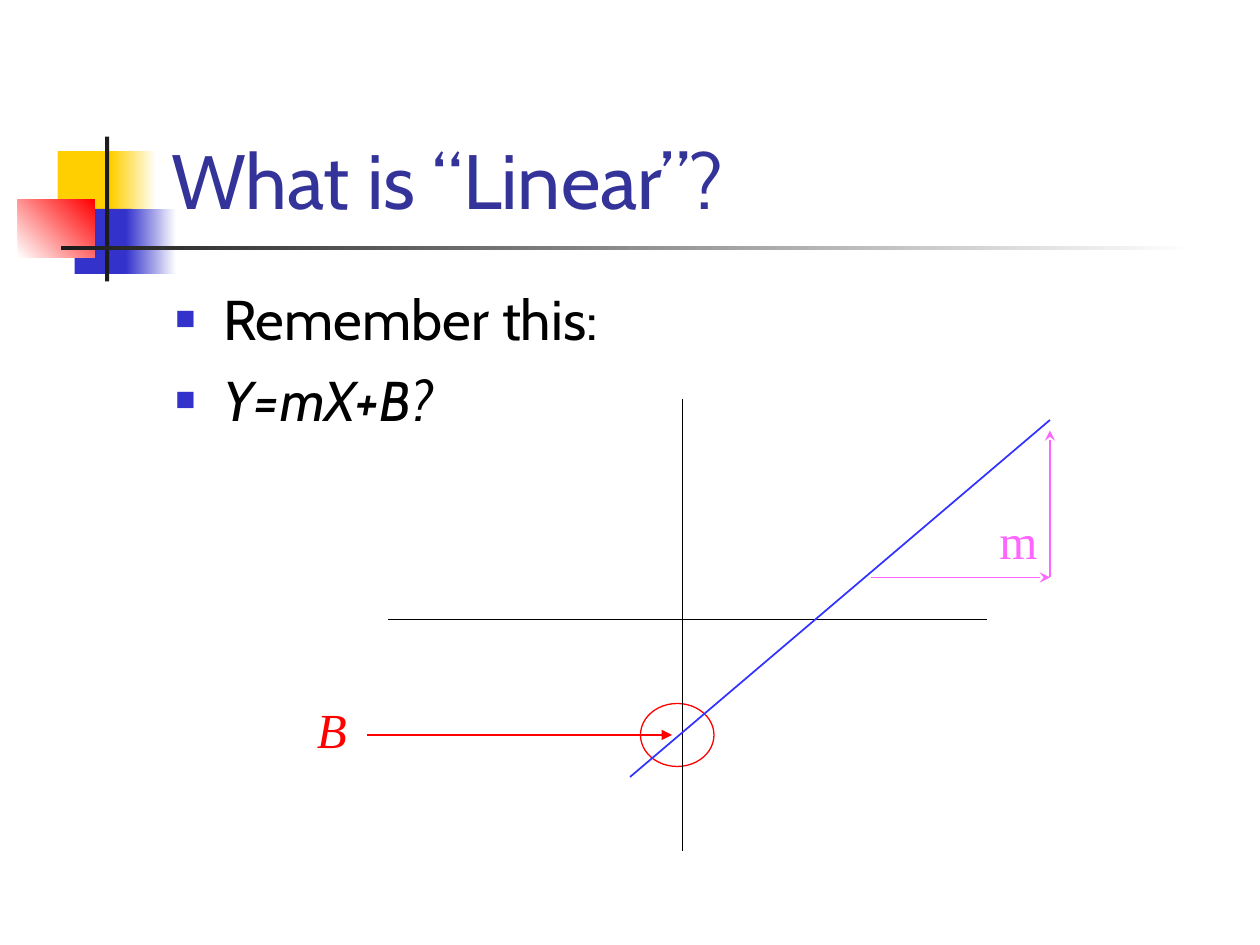
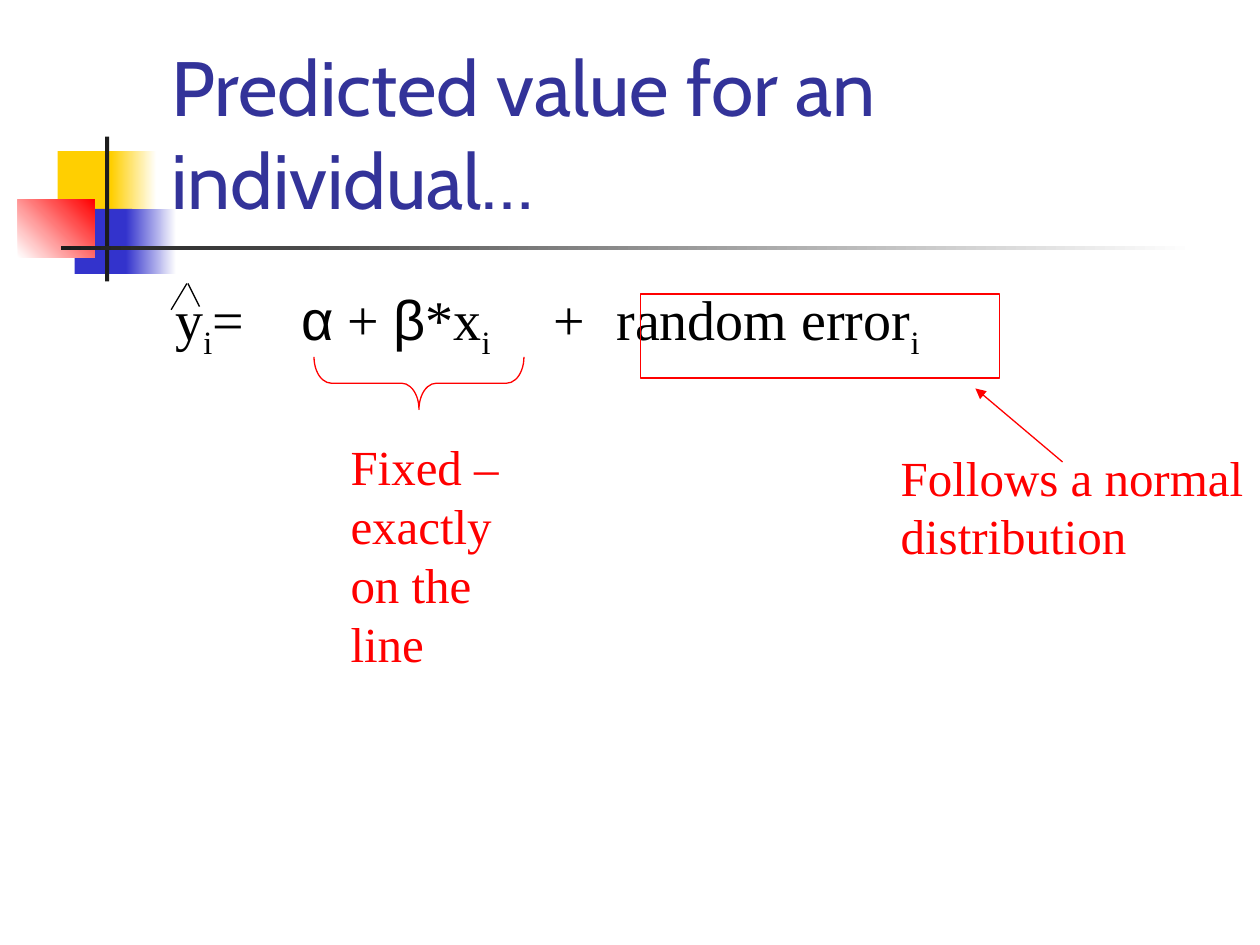
from lxml import etree
from pptx import Presentation
from pptx import util as u
from pptx.dml.color import RGBColor
from pptx.enum import shapes, text
from pptx.oxml import ns

COLUMNS, ROWS = 120, 90
CELL = u.Inches(10) // COLUMNS
COLORS = {"yellow": "FFCF01", "blue": "3333CC", "red": "FF0000", "white": "FFFFFF",
          "dark": "1C1C1C", "title": "333399", "black": "000000",
          "slope": "3333FF", "pink": "FF66FF"}
HEADING, SERIF, GREEK = "Cabin", "Times New Roman", "Arial"

BAND = [
    ((5.5, 14.4, 5.8, 6.2), ["yellow"], 0),
    ((10.6, 14.4, 4.3, 6.2), ["yellow", "white"], 0),
    ((7.1, 19.9, 5.5, 6.2), ["blue"], 0),
    ((12, 19.9, 4.8, 6.2), ["blue", "white"], 0),
    ((1.7, 19, 7.3, 5.5), ["white", "red"], 45),
    ((10, 13, 0.4, 13.8), ["dark"], 0),
    ((5.8, 23.4, 108, 0.4), ["dark", "white"], 0),
]
TITLE_AREA = (15.1, 2.8, 102.2, 19.2)
BODY_AREA = (15.5, 26.5, 102, 54)

BULLETS = [("Remember this:", False), ("Y=mX+B?", True)]
EQUATION = [("y", SERIF, False), ("i", SERIF, True), ("=\t", SERIF, False),
            ("α", GREEK, False), (" + ", SERIF, False), ("β", GREEK, False),
            ("*x", SERIF, False), ("i", SERIF, True),
            ("\t+\trandom error", SERIF, False), ("i", SERIF, True)]
EQUATION_TABS = (1.11, 3.05, 3.63)

SLIDES = [
    {
        "title": "What is “Linear”?",
        "lines": [
            ((65, 38), (65, 81), "black", 0.75, None),
            ((37, 59), (94, 59), "black", 0.75, None),
            ((60, 74), (100, 40), "slope", 1, None),
            ((35, 70), (64, 70), "red", 0.75, "triangle"),
            ((83, 55), (100, 55), "pink", 0.75, "stealth"),
            ((100, 55), (100, 41), "pink", 0.75, "stealth"),
        ],
        "outlines": [("OVAL", (61, 67, 7, 6), 0)],
        "labels": [("B", (29, 66, 9, 6.8), "red", True),
                   ("m", (94, 48, 12, 6.8), "pink", False)],
    },
    {
        "title": "Predicted value for an individual…",
        "lines": [
            ((101.2, 44), (92.9, 37), "red", 0.75, "triangle"),
            ((16.3, 29.5), (17.8, 27), "black", 0.75, None),
            ((17.9, 27), (19, 29.2), "black", 0.75, None),
        ],
        "outlines": [("RECTANGLE", (61, 28, 34.2, 8), 0),
                     ("RIGHT_BRACE", (37.4, 26.5, 5, 20), 90)],
        "labels": [("Follows a normal distribution", (84.6, 42, 35.4, 12.5), "red", False),
                   ("Fixed – exactly on the line", (32.2, 41, 18.8, 23.6), "red", False)],
    },
]


def color(name):
    return RGBColor.from_string(COLORS[name])


def cells(*counts):
    return [u.Emu(round(count * CELL)) for count in counts]


def add_node(parent, tag, **attributes):
    return etree.SubElement(parent, ns.qn(tag), attributes)


def set_font(font, size, name, tint, italic=False):
    font.size, font.name, font.italic = u.Pt(size), name, italic
    font.color.rgb = color(tint)


def place(holder, area):
    holder.left, holder.top, holder.width, holder.height = cells(*area)
    holder.text_frame.auto_size = text.MSO_AUTO_SIZE.NONE
    holder.text_frame.word_wrap = True


def add_band(page, master):
    first = master.shapes[0].element
    for area, tints, angle in BAND:
        block = page.shapes.add_shape(shapes.MSO_SHAPE.RECTANGLE, *cells(*area))
        block.shadow.inherit = False
        block.line.fill.background()
        if len(tints) == 1:
            block.fill.solid()
            block.fill.fore_color.rgb = color(tints[0])
        else:
            block.fill.gradient()
            block.fill.gradient_angle = angle
            for stop, tint in zip(block.fill.gradient_stops, tints):
                stop.color.rgb = color(tint)
        first.addprevious(block.element)


def add_title(page, title):
    holder = page.shapes.title
    place(holder, TITLE_AREA)
    holder.text_frame.vertical_anchor = text.MSO_ANCHOR.BOTTOM
    para = holder.text_frame.paragraphs[0]
    para.text = title
    para.alignment = text.PP_ALIGN.LEFT
    set_font(para.font, 44, HEADING, "title")


def add_line(page, start, end, tint, width, arrow):
    line = page.shapes.add_connector(shapes.MSO_CONNECTOR.STRAIGHT, *cells(*start, *end))
    line.line.color.rgb = color(tint)
    line.line.width = u.Pt(width)
    if arrow:
        add_node(line.line._get_or_add_ln(), "a:tailEnd", type=arrow)
    add_node(line.element.spPr, "a:effectLst")


def add_outline(page, kind, area, rotation):
    shape = page.shapes.add_shape(getattr(shapes.MSO_SHAPE, kind), *cells(*area))
    shape.shadow.inherit = False
    shape.fill.background()
    shape.line.color.rgb = color("red")
    shape.line.width = u.Pt(0.75)
    shape.rotation = rotation
    if kind == "RIGHT_BRACE":
        shape.adjustments[0] = 0.33


def add_label(page, words, area, tint, italic):
    box = page.shapes.add_textbox(*cells(*area))
    box.text_frame.word_wrap = True
    para = box.text_frame.paragraphs[0]
    para.text = words
    set_font(para.font, 28, SERIF, tint, italic)


def fill_bullets(frame):
    for index, (words, italic) in enumerate(BULLETS):
        para = frame.add_paragraph() if index else frame.paragraphs[0]
        para.text = words
        para.space_before = u.Pt(8 if index else 0)
        props = para._p.get_or_add_pPr()
        props.set("marL", str(u.Inches(0.38)))
        props.set("indent", str(-u.Inches(0.38)))
        add_node(add_node(props, "a:buClr"), "a:srgbClr", val=COLORS["blue"])
        add_node(props, "a:buSzPct", val="60000")
        add_node(props, "a:buChar", char="■")
        set_font(para.font, 32, HEADING, "black", italic)


def fill_equation(frame):
    para = frame.paragraphs[0]
    para.space_before = u.Pt(0)
    props = para._p.get_or_add_pPr()
    props.set("marL", "0")
    props.set("indent", "0")
    add_node(props, "a:buNone")
    stops = add_node(props, "a:tabLst")
    for position in EQUATION_TABS:
        add_node(stops, "a:tab", pos=str(u.Inches(position)), algn="l")
    for words, font, lowered in EQUATION:
        span = para.add_run()
        span.text = words
        set_font(span.font, 32, font, "black")
        if lowered:
            span._r.get_or_add_rPr().set("baseline", "-25000")


def main():
    deck = Presentation()
    deck.slide_width, deck.slide_height = cells(COLUMNS, ROWS)
    for content, fill_body in zip(SLIDES, (fill_bullets, fill_equation)):
        page = deck.slides.add_slide(deck.slide_layouts[1])
        add_title(page, content["title"])
        body = page.placeholders[1]
        place(body, BODY_AREA)
        fill_body(body.text_frame)
        for outline in content["outlines"]:
            add_outline(page, *outline)
        for line in content["lines"]:
            add_line(page, *line)
        for label in content["labels"]:
            add_label(page, *label)
    add_band(deck.slides[0], deck.slide_master)
    deck.save("out.pptx")


if __name__ == "__main__":
    main()
